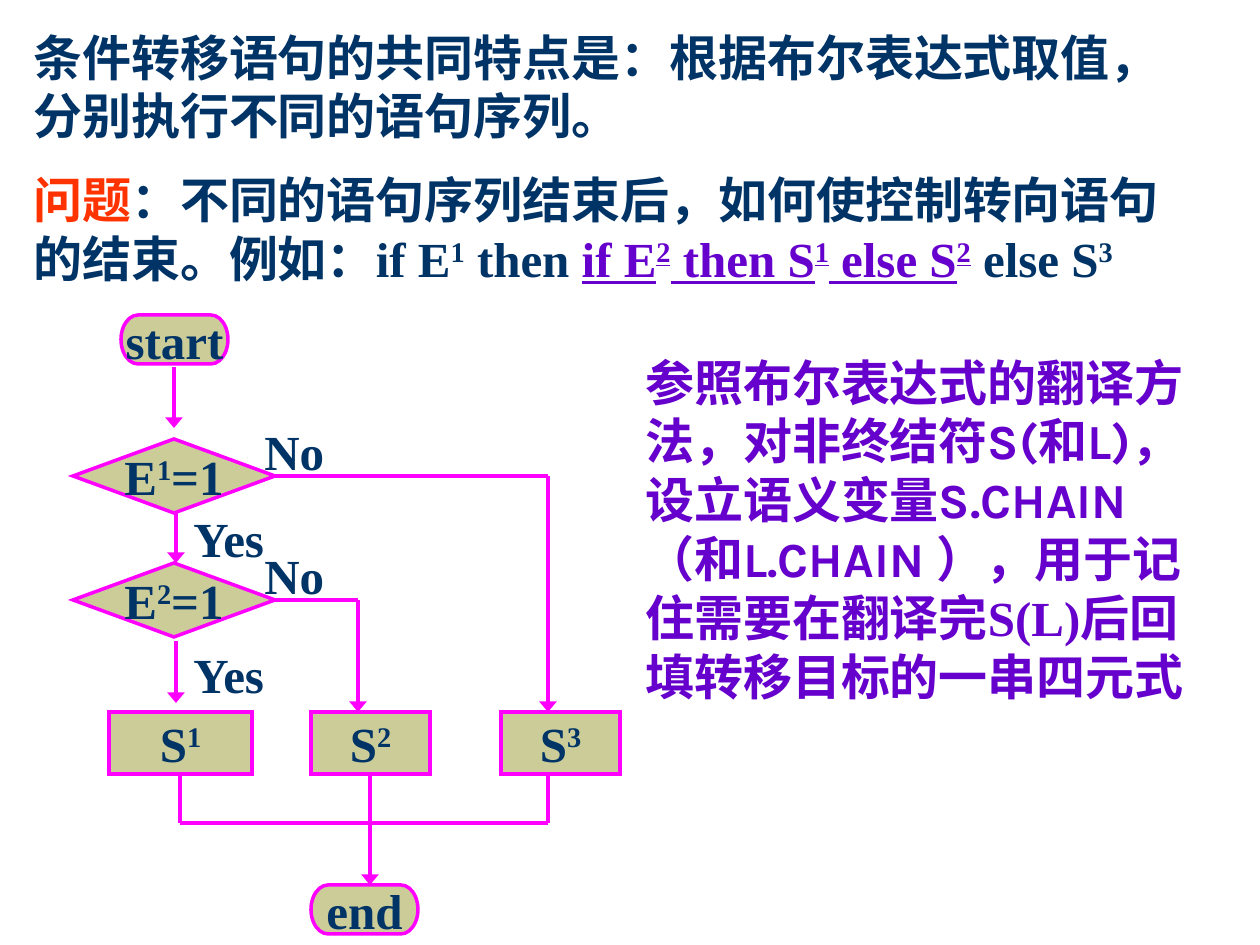
"""Build a slide on conditional jump statements with a nested-if flowchart."""
import pptx
import pptx.dml.color
import pptx.enum.shapes
import pptx.enum.text
import pptx.oxml.ns
import pptx.util
from lxml import etree

NAVY = pptx.dml.color.RGBColor(0x00, 0x33, 0x66)
PURPLE = pptx.dml.color.RGBColor(0x66, 0x00, 0xCC)
RED = pptx.dml.color.RGBColor(0xFF, 0x33, 0x00)
MAGENTA = pptx.dml.color.RGBColor(0xFF, 0x00, 0xFF)
KHAKI = pptx.dml.color.RGBColor(0xCC, 0xCC, 0x99)
PX = 914400 / 126
SERIF = "Times New Roman"


def px(*lengths):
    return [pptx.util.Emu(round(length * PX)) for length in lengths]


def write(paragraph, text, color=NAVY, font=SERIF, underline=None):
    """Append text as bold runs; the character after each ^ is raised."""
    plain, *raised = text.split("^")
    pieces = [(plain, False)]
    for piece in raised:
        pieces += [(piece[0], True), (piece[1:], False)]
    for piece, is_raised in pieces:
        if piece:
            run = paragraph.add_run()
            run.text = piece
            run.font.size = pptx.util.Pt(28)
            run.font.bold = True
            run.font.name = font
            run.font.color.rgb = color
            run.font.underline = underline
            if is_raised:
                run.font._element.set("baseline", "30000")


deck = pptx.Presentation()
deck.slide_width, deck.slide_height = px(1260, 945)
slide = deck.slides.add_slide(deck.slide_layouts[6])
shapes = slide.shapes

intro = shapes.add_textbox(*px(21, 21, 1197, 277)).text_frame
intro.word_wrap = True
write(intro.paragraphs[0], "条件转移语句的共同特点是：根据布尔表达式取值，分别执行不同的语句序列。")
question = intro.add_paragraph()
question.space_before = pptx.util.Pt(14)
write(question, "问题", color=RED)
write(question, "：不同的语句序列结束后，如何使控制转向语句的结束。例如：if E^1 then ")
write(question, "if E^2 then S^1 else S^2", color=PURPLE, underline=True)
write(question, " else S^3")

links = [
    (174, 367, 174, 428, True),
    (176, 513, 176, 563, True),
    (176, 641, 176, 703, True),
    (275, 600, 358, 600, False),
    (358, 600, 358, 712, True),
    (275, 476, 548, 476, False),
    (548, 476, 548, 712, True),
    (180, 774, 180, 823, False),
    (180, 823, 548, 823, False),
    (548, 774, 548, 823, False),
    (370, 774, 370, 885, True),
]
for x1, y1, x2, y2, has_arrow in links:
    link = shapes.add_connector(
        pptx.enum.shapes.MSO_CONNECTOR.STRAIGHT, *px(x1, y1, x2, y2))
    link.line.color.rgb = MAGENTA
    link.line.width = pptx.util.Pt(2)
    if has_arrow:
        etree.SubElement(link.line._get_or_add_ln(),
                         pptx.oxml.ns.qn("a:tailEnd"), type="triangle", w="lg", len="med")
    etree.SubElement(link._element.spPr, pptx.oxml.ns.qn("a:effectLst"))

DECISION = pptx.enum.shapes.MSO_SHAPE.FLOWCHART_DECISION
PROCESS = pptx.enum.shapes.MSO_SHAPE.FLOWCHART_PROCESS
TERMINATOR = pptx.enum.shapes.MSO_SHAPE.FLOWCHART_TERMINATOR
steps = [
    (TERMINATOR, "start", 121, 315, 107, 49),
    (DECISION, "E^1=1", 73, 439, 202, 74),
    (DECISION, "E^2=1", 73, 563, 202, 74),
    (PROCESS, "S^1", 109, 712, 143, 62),
    (PROCESS, "S^2", 311, 712, 119, 62),
    (PROCESS, "S^3", 501, 712, 119, 62),
    (TERMINATOR, "end", 311, 885, 107, 49),
]
for kind, label, *place in steps:
    step = shapes.add_shape(kind, *px(*place))
    step.shadow.inherit = False
    step.fill.solid()
    step.fill.fore_color.rgb = KHAKI
    step.line.color.rgb = MAGENTA
    step.line.width = pptx.util.Pt(2)
    etree.SubElement(step.line._get_or_add_ln(),
                     pptx.oxml.ns.qn("a:miter"), lim="800000")
    step.text_frame.word_wrap = False
    step.text_frame.vertical_anchor = pptx.enum.text.MSO_ANCHOR.MIDDLE
    caption = step.text_frame.paragraphs[0]
    caption.alignment = pptx.enum.text.PP_ALIGN.CENTER
    write(caption, label)

for branch, left, top in [("No", 252, 415), ("Yes", 181, 502),
                          ("No", 252, 539), ("Yes", 181, 638)]:
    answer = shapes.add_textbox(*px(left, top, 119, 72)).text_frame
    answer.word_wrap = True
    write(answer.paragraphs[0], branch)

method = shapes.add_textbox(*px(633, 346, 584, 365)).text_frame
method.word_wrap = True
advice = method.paragraphs[0]
advice._p.get_or_add_pPr().set("hangingPunct", "0")
for phrase, font in [
    ("参照布尔表达式的翻译方法，对非终结符", SERIF),
    ("S(和L)，", "Karla"),
    ("设立语义变量", SERIF),
    ("S.CHAIN（和L.CHAIN ）", "Karla"),
    ("，用于记住需要在翻译完S(L)后回填转移目标的一串四元式", SERIF),
]:
    write(advice, phrase, color=PURPLE, font=font)

deck.save("out.pptx")
